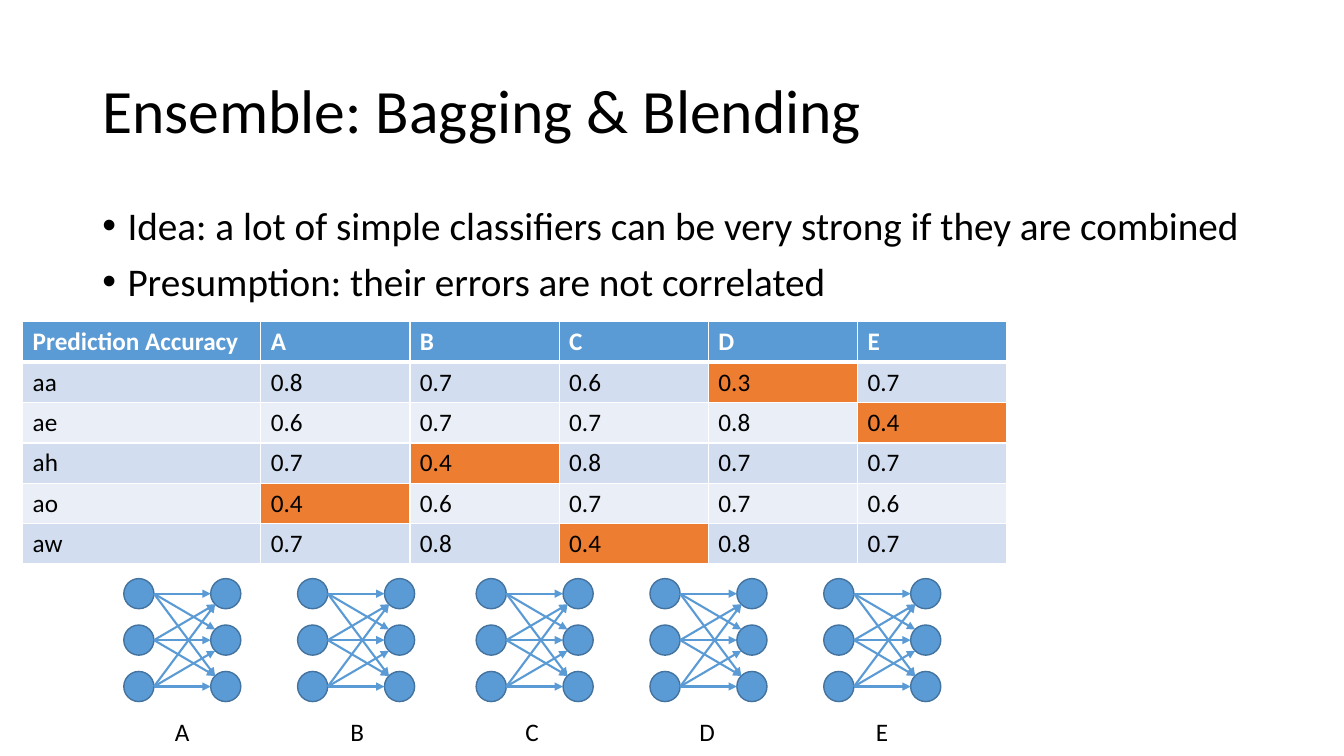
import itertools
import pptx
import pptx.dml.color
import pptx.enum.shapes
import pptx.enum.text
import pptx.oxml
import pptx.oxml.ns
import pptx.util
from pptx.util import Cm, Pt

RGB = pptx.dml.color.RGBColor
BLACK = RGB(0x00, 0x00, 0x00)
WHITE = RGB(0xFF, 0xFF, 0xFF)
BLUE = RGB(0x5B, 0x9B, 0xD5)
NAVY = RGB(0x43, 0x73, 0x9E)
ORANGE = RGB(0xED, 0x7D, 0x31)
BANDS = [RGB(0xEA, 0xEF, 0xF7), RGB(0xD2, 0xDE, 0xEF)]
FONT = "Calibri"
ANCHOR = pptx.enum.text.MSO_ANCHOR
ALIGN = pptx.enum.text.PP_ALIGN
OVAL = pptx.enum.shapes.MSO_SHAPE.OVAL
LINE = pptx.enum.shapes.MSO_CONNECTOR.STRAIGHT


def node(tag, inner="", **attrs):
    """Return a DrawingML element with the given attributes."""
    pairs = "".join(f' {key}="{val}"' for key, val in attrs.items())
    space = pptx.oxml.ns.nsdecls("a")
    return pptx.oxml.parse_xml(f"<a:{tag} {space}{pairs}>{inner}</a:{tag}>")


def write(frame, text, size=18, color=BLACK, bold=False, align=ALIGN.LEFT,
          anchor=ANCHOR.TOP, wrap=True, lead=None, before=None, dots=False):
    """Fill a text frame, one paragraph for each line of text."""
    frame.word_wrap = wrap
    frame.vertical_anchor = anchor
    for num, line in enumerate(text.split("\n")):
        para = frame.add_paragraph() if num else frame.paragraphs[0]
        para.alignment, para.line_spacing, para.space_before = align, lead, before
        run = para.add_run()
        run.text = line
        run.font.name, run.font.size = FONT, Pt(size)
        run.font.bold, run.font.color.rgb = bold, color
        if dots:
            props = para._p.get_or_add_pPr()
            props.set("marL", str(Cm(0.635)))
            props.set("indent", str(-Cm(0.635)))
            props.append(node("buFont", typeface="Arial"))
            props.append(node("buChar", char="•"))


deck = pptx.Presentation()
deck.slide_width, deck.slide_height = Cm(33.87), Cm(19.05)
slide = deck.slides.add_slide(deck.slide_layouts[6])
shapes = slide.shapes

title = shapes.add_textbox(Cm(2.33), Cm(1.01), Cm(29.21), Cm(3.68))
write(title.text_frame, "Ensemble: Bagging & Blending", size=44,
      anchor=ANCHOR.MIDDLE, lead=0.9)
body = shapes.add_textbox(Cm(2.33), Cm(5.07), Cm(29.21), Cm(3))
write(body.text_frame,
      "Idea: a lot of simple classifiers can be very strong if they are combined\n"
      "Presumption: their errors are not correlated",
      size=28, lead=0.9, before=Pt(10), dots=True)

# Networks: two columns of nodes, fully joined by arrows
names = "ABCDE"
lefts = [3.12, 7.5, 12, 16.38, 20.76]
top, dia, step, gap = 14.58, 0.76, 1.17, 2.19
mid = dia / 2
diag = mid * 0.7
for num, (name, left) in enumerate(zip(names, lefts)):
    for col, row in itertools.product(range(2), range(3)):
        ball = shapes.add_shape(OVAL, Cm(left + col * gap),
                                Cm(top + row * step), Cm(dia), Cm(dia))
        ball.shadow.inherit = False
        ball.fill.solid()
        ball.fill.fore_color.rgb = BLUE
        ball.line.color.rgb, ball.line.width = NAVY, Pt(1)
    for start, end in itertools.product(range(3), range(3)):
        side = (start > end) - (start < end)
        tip_x = left + gap + (mid - diag if side else 0)
        tip_y = top + mid + end * step + side * diag
        arrow = shapes.add_connector(
            LINE, Cm(left + dia), Cm(top + mid + start * step),
            Cm(tip_x), Cm(tip_y))
        arrow.line.color.rgb, arrow.line.width = BLUE, Pt(1.5)
        arrow.line._get_or_add_ln().append(node("tailEnd", type="triangle"))
        arrow._element.spPr.append(node("effectLst"))
    label = shapes.add_textbox(Cm(4.14 + num * 4.41), Cm(17.92), Cm(0.9), Cm(1.02))
    write(label.text_frame, name, wrap=False, align=ALIGN.CENTER)

# Accuracy table, with each weak score in orange
rows = [
    ["Prediction Accuracy", *names],
    ["aa", 0.8, 0.7, 0.6, 0.3, 0.7],
    ["ae", 0.6, 0.7, 0.7, 0.8, 0.4],
    ["ah", 0.7, 0.4, 0.8, 0.7, 0.7],
    ["ao", 0.4, 0.6, 0.7, 0.7, 0.6],
    ["aw", 0.7, 0.8, 0.4, 0.8, 0.7],
]
table = shapes.add_table(6, 6, Cm(0.57), Cm(8.11), Cm(24.8), Cm(6.1)).table
table.horz_banding = False
for num, col in enumerate(table.columns):
    col.width = Cm(3.76 if num else 6)
for num, (line, vals) in enumerate(zip(table.rows, rows)):
    line.height = Cm(1.01)
    for cell, val in zip(line.cells, vals):
        head = num == 0
        thick = {"B": head, "T": num == 1}
        for side in "LRTB":
            edge = node("solidFill", f'<a:srgbClr val="{WHITE}"/>')
            rule = node(f"ln{side}", w=Pt(3 if thick.get(side) else 1))
            rule.append(edge)
            cell._tc.get_or_add_tcPr().append(rule)
        weak = isinstance(val, float) and val < 0.5
        cell.fill.solid()
        cell.fill.fore_color.rgb = BLUE if head else ORANGE if weak else BANDS[num % 2]
        write(cell.text_frame, str(val), bold=head, color=WHITE if head else BLACK)

deck.save("out.pptx")
